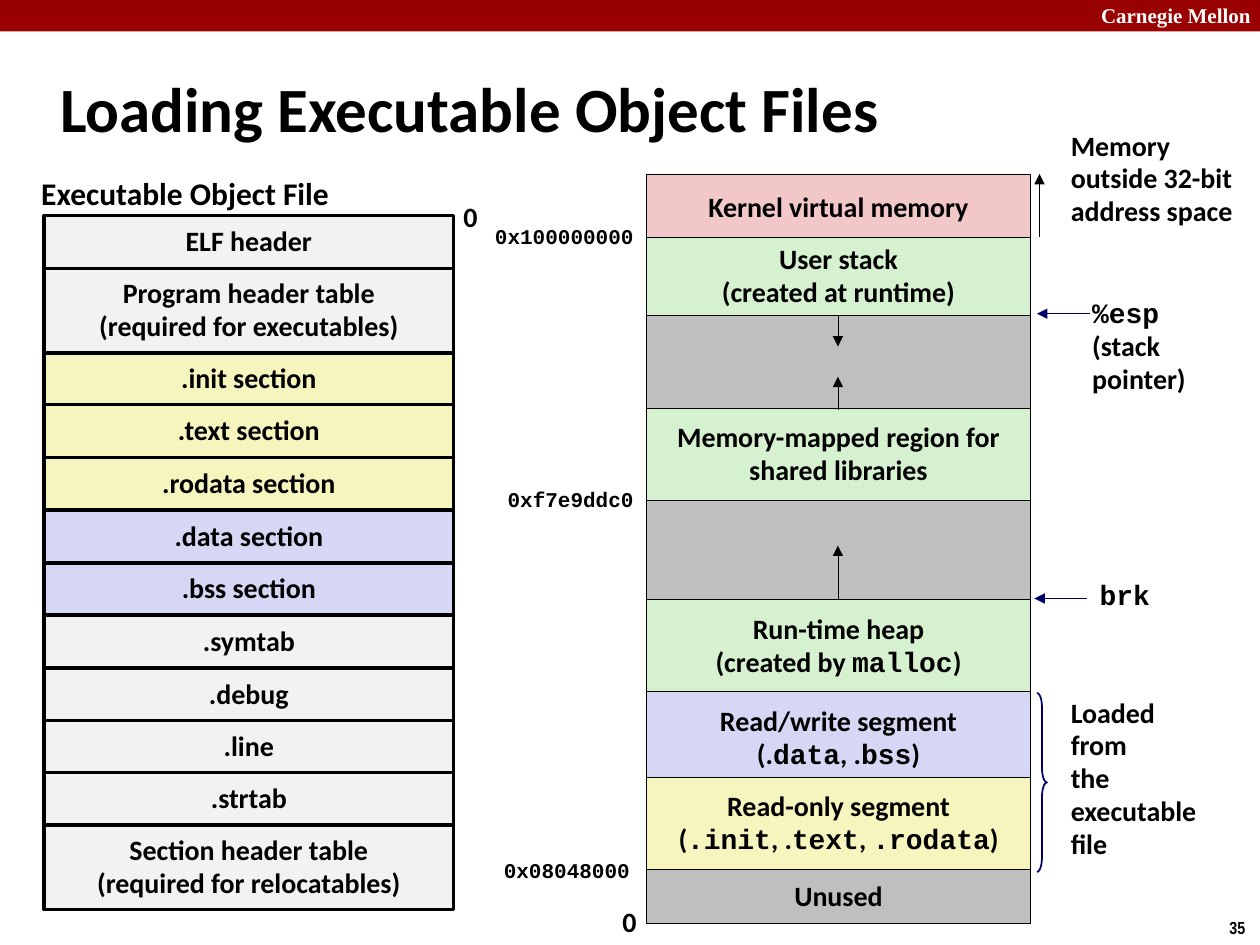
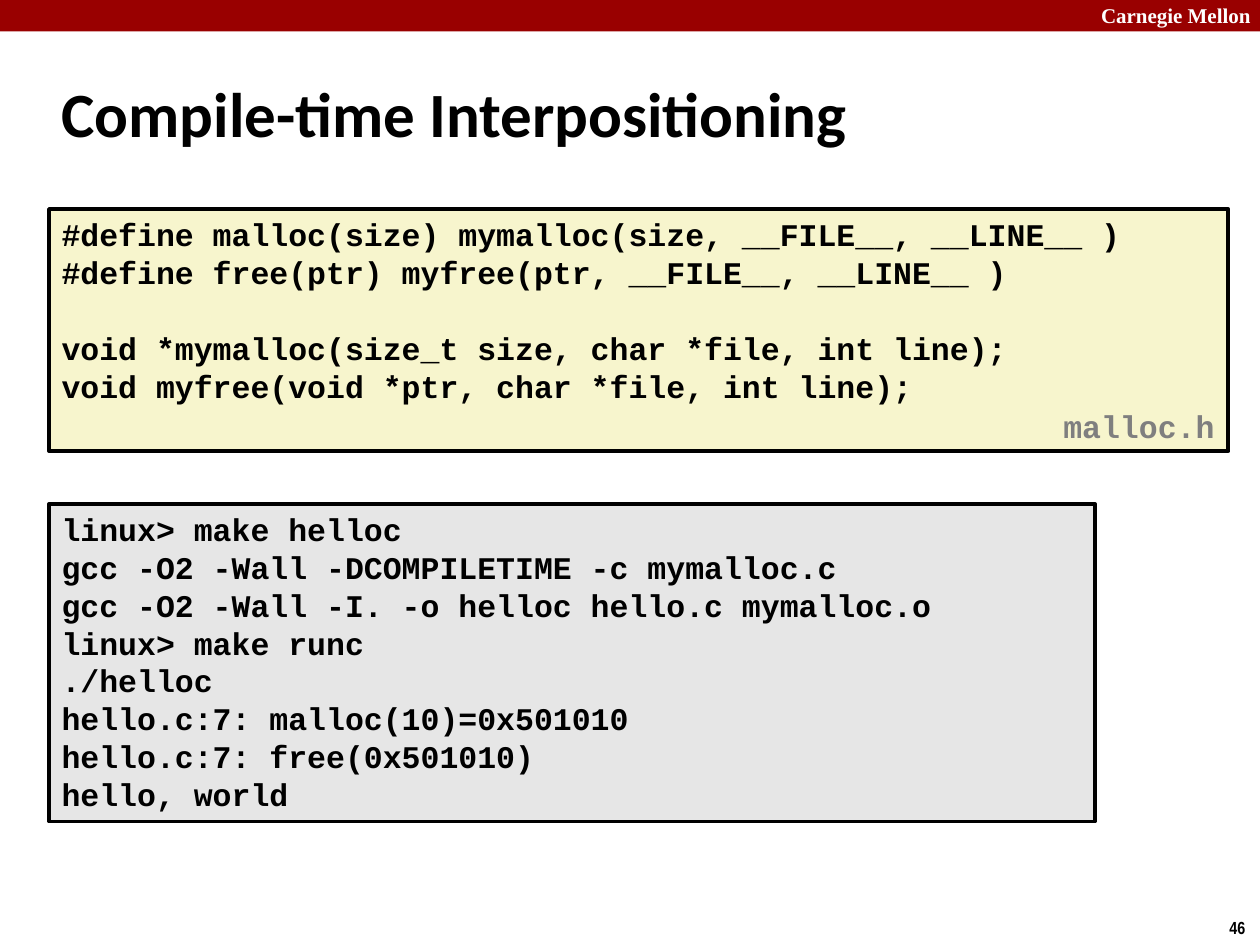
"""Build two slides on loading object files and on compile-time interpositioning."""
from typing import NamedTuple

from lxml import etree
from pptx import Presentation
from pptx.dml.color import RGBColor
from pptx.enum.shapes import MSO_CONNECTOR, MSO_SHAPE
from pptx.enum.text import MSO_ANCHOR, MSO_AUTO_SIZE, PP_ALIGN
from pptx.oxml.ns import qn
from pptx.presentation import Presentation as Deck
from pptx.shapes.autoshape import Shape
from pptx.slide import Slide
from pptx.util import Emu, Pt

RECT = MSO_SHAPE.RECTANGLE
BRACE = MSO_SHAPE.RIGHT_BRACE
STRAIGHT = MSO_CONNECTOR.STRAIGHT
TOP, MIDDLE = MSO_ANCHOR.TOP, MSO_ANCHOR.MIDDLE
LEFT, CENTER = PP_ALIGN.LEFT, PP_ALIGN.CENTER
GROW, FIXED = MSO_AUTO_SIZE.SHAPE_TO_FIT_TEXT, MSO_AUTO_SIZE.NONE

SCALE = 9144
WIDE, TALL = 1000, 750

BLACK = RGBColor(0x00, 0x00, 0x00)
WHITE = RGBColor(0xFF, 0xFF, 0xFF)
RED = RGBColor(0x99, 0x00, 0x00)
NAVY = RGBColor(0x00, 0x00, 0x66)
PALE = RGBColor(0xF2, 0xF2, 0xF2)
YELLOW = RGBColor(0xF6, 0xF5, 0xBD)
LILAC = RGBColor(0xD6, 0xD6, 0xF5)
PINK = RGBColor(0xF1, 0xC7, 0xC7)
GREEN = RGBColor(0xD5, 0xF1, 0xCF)
GRAY = RGBColor(0xBF, 0xBF, 0xBF)
CREAM = RGBColor(0xF7, 0xF5, 0xCD)
SILVER = RGBColor(0xE6, 0xE6, 0xE6)
DIM = RGBColor(0x7F, 0x7F, 0x7F)

SANS, MONO = "Calibri", "Courier New"
SERIF, NARROW = "Times New Roman", "Arial Narrow"
TIGHT, CODE_TIGHT = 0.98, 0.94
HAIR, THICK, FRAME = 0.25, 2, 2.25


class Box(NamedTuple):
    """Place and size in px."""
    left: int
    top: int
    wide: int
    tall: int


class Part(NamedTuple):
    """One section of the object file."""
    text: str
    fill: RGBColor


class Region(NamedTuple):
    """One block of the memory map."""
    top: int
    tall: int
    fill: RGBColor
    text: str = ""


class Note(NamedTuple):
    """A free label beside a diagram."""
    box: Box
    text: str
    size: int = 16
    space: float = TIGHT
    align: PP_ALIGN = LEFT


class Arrow(NamedTuple):
    """A line with a head at its end."""
    start: tuple[int, int]
    end: tuple[int, int]
    color: RGBColor = BLACK


FILE_BOX = Box(35, 171, 325, 551)
PARTS = [
    Part("ELF header", PALE),
    Part("Program header table\n(required for executables)", PALE),
    Part(".init section", YELLOW),
    Part(".text section", YELLOW),
    Part(".rodata section", YELLOW),
    Part(".data section", LILAC),
    Part(".bss section", LILAC),
    Part(".symtab", PALE),
    Part(".debug", PALE),
    Part(".line", PALE),
    Part(".strtab", PALE),
    Part("Section header table\n(required for relocatables)", PALE),
]
SINGLE, DOUBLE = 5, 8

MAP_LEFT, MAP_WIDE = 513, 305
REGIONS = [
    Region(138, 53, PINK, "Kernel virtual memory"),
    Region(225, 99, GRAY),
    Region(188, 62, GREEN, "User stack\n(created at runtime)"),
    Region(324, 73, GREEN, "Memory-mapped region for\nshared libraries"),
    Region(397, 79, GRAY),
    Region(476, 73, GREEN, "Run-time heap\n(created by `malloc`)"),
    Region(549, 73, LILAC, "Read/write segment\n(.`data`, .`bss`)"),
    Region(617, 73, YELLOW,
           "Read-only segment\n(`.init`, .`text`, `.rodata`)"),
    Region(690, 43, GRAY, "Unused"),
]
ARROWS = [
    Arrow((665, 475), (665, 433)),
    Arrow((665, 325), (665, 299)),
    Arrow((665, 250), (665, 275)),
    Arrow((825, 188), (825, 138)),
    Arrow((865, 249), (823, 249), NAVY),
    Arrow((863, 475), (821, 475), NAVY),
]
NOTES = [
    Note(Box(22, 135, 250, 40), "Executable Object File", 18, align=CENTER),
    Note(Box(358, 155, 31, 37), "0"),
    Note(Box(484, 714, 31, 37), "0"),
    Note(Box(857, 231, 95, 88), "`%esp`\n(stack\npointer)"),
    Note(Box(840, 98, 149, 89), "Memory\noutside 32-bit\naddress space"),
    Note(Box(840, 548, 126, 142), "Loaded\nfrom\nthe\nexecutable\nfile"),
    Note(Box(863, 456, 60, 36), "`brk`", 16, CODE_TIGHT),
    Note(Box(383, 174, 132, 30), "`0x100000000`", 12, CODE_TIGHT),
    Note(Box(390, 677, 122, 29), "`0x08048000`", 12, CODE_TIGHT),
    Note(Box(393, 383, 122, 30), "`0xf7e9ddc0`", 12, CODE_TIGHT),
]

HEADER = """#define malloc(size) mymalloc(size, __FILE__, __LINE__ )
#define free(ptr) myfree(ptr, __FILE__, __LINE__ )

void *mymalloc(size_t size, char *file, int line);
void myfree(void *ptr, char *file, int line);"""
SESSION = """linux> make helloc
gcc -O2 -Wall -DCOMPILETIME -c mymalloc.c
gcc -O2 -Wall -I. -o helloc hello.c mymalloc.o
linux> make runc
./helloc
hello.c:7: malloc(10)=0x501010
hello.c:7: free(0x501010)
hello, world"""


def px(*sizes: int) -> list[Emu]:
    """Turn px into EMU."""
    return [Emu(size * SCALE) for size in sizes]


def write(shape: Shape, text: str, *, size: int = 16, font: str = SANS,
          color: RGBColor = BLACK, align: PP_ALIGN = LEFT,
          anchor: MSO_ANCHOR = TOP, space: float = 1.0, wrap: bool = True,
          fit: MSO_AUTO_SIZE = FIXED) -> None:
    """Fill a shape with bold lines; backticks mark code, an empty line a gap."""
    frame = shape.text_frame
    frame.word_wrap, frame.auto_size = wrap, fit
    frame.vertical_anchor = anchor
    gap = False
    for row, line in enumerate(text.split("\n")):
        if not line:
            gap = True
            continue
        para = frame.add_paragraph() if row else frame.paragraphs[0]
        para.alignment, para.line_spacing = align, space
        if gap:
            para.space_before = Pt(1.2 * size)
            gap = False
        for spot, piece in enumerate(line.split("`")):
            if piece:
                run = para.add_run()
                run.text = piece
                run.font.name = MONO if spot % 2 else font
                run.font.size, run.font.bold = Pt(size), True
                run.font.color.rgb = color


def label(slide: Slide, box: Box, text: str, **style) -> None:
    """Add a text box."""
    write(slide.shapes.add_textbox(*px(*box)), text, **style)


def block(slide: Slide, box: Box, fill: RGBColor | None,
          edge: float = 0, color: RGBColor = BLACK,
          kind: MSO_SHAPE = RECT) -> Shape:
    """Add a flat shape, with an outline when edge is set."""
    shape = slide.shapes.add_shape(kind, *px(*box))
    shape.shadow.inherit = False
    if fill is None:
        shape.fill.background()
    else:
        shape.fill.solid()
        shape.fill.fore_color.rgb = fill
    if edge:
        shape.line.color.rgb = color
        shape.line.width = Pt(edge)
    else:
        shape.line.fill.background()
    return shape


def cell(slide: Slide, box: Box, fill: RGBColor, edge: float,
         text: str) -> None:
    """Add a diagram block with centred text."""
    shape = block(slide, box, fill, edge)
    if text:
        write(shape, text, align=CENTER, anchor=MIDDLE, space=TIGHT,
              wrap=False)


def point(slide: Slide, arrow: Arrow) -> None:
    """Add a thin arrow."""
    line = slide.shapes.add_connector(
        STRAIGHT, *px(*arrow.start, *arrow.end))
    line.line.color.rgb = arrow.color
    line.line.width = Pt(HAIR)
    props = line.element.spPr
    etree.SubElement(props.find(qn("a:ln")), qn("a:tailEnd"),
                     type="triangle")
    etree.SubElement(props, qn("a:effectLst"))


def start(deck: Deck, title: str, box: Box, number: int) -> Slide:
    """Add a slide with its band, title and number."""
    slide = deck.slides.add_slide(deck.slide_layouts[6])
    block(slide, Box(0, 0, WIDE, 25), RED)
    label(slide, Box(864, -3, 143, 30), "Carnegie Mellon", size=12,
          font=SERIF, color=WHITE)
    label(slide, Box(966, 723, 34, 27), str(number), size=10, font=NARROW,
          wrap=False, fit=GROW)
    label(slide, box, title, size=36, anchor=MIDDLE)
    return slide


def loading(deck: Deck) -> None:
    """Draw the object file beside the memory map."""
    slide = start(deck, "Loading Executable Object Files",
                  Box(38, 42, 953, 86), 35)
    units = [DOUBLE if "\n" in part.text else SINGLE for part in PARTS]
    edges = [FILE_BOX.top + round(FILE_BOX.tall * sum(units[:n]) / sum(units))
             for n in range(len(units) + 1)]
    for part, top, end in zip(PARTS, edges, edges[1:]):
        cell(slide, Box(FILE_BOX.left, top, FILE_BOX.wide, end - top),
             part.fill, THICK, part.text)
    for area in REGIONS:
        cell(slide, Box(MAP_LEFT, area.top, MAP_WIDE, area.tall),
             area.fill, HAIR, area.text)
    for arrow in ARROWS:
        point(slide, arrow)
    brace = block(slide, Box(823, 550, 8, 142), None, 1, NAVY, BRACE)
    brace.adjustments[0] = 1.417
    for note in NOTES:
        label(slide, note.box, note.text, size=note.size, space=note.space,
              align=note.align, wrap=False, fit=GROW)


def linking(deck: Deck) -> None:
    """Draw the header file and the shell session."""
    slide = start(deck, "Compile-time Interpositioning",
                  Box(39, 48, 830, 83), 46)
    for box, fill, code in [(Box(39, 166, 936, 192), CREAM, HEADER),
                            (Box(39, 400, 830, 252), SILVER, SESSION)]:
        write(block(slide, box, fill, FRAME), code, size=18, font=MONO)
    label(slide, Box(834, 318, 141, 40), "malloc.h", size=18, font=MONO,
          color=DIM, wrap=False, fit=GROW)


def main() -> None:
    """Build and save the deck."""
    deck = Presentation()
    deck.slide_width, deck.slide_height = px(WIDE, TALL)
    loading(deck)
    linking(deck)
    deck.save("out.pptx")


if __name__ == "__main__":
    main()
